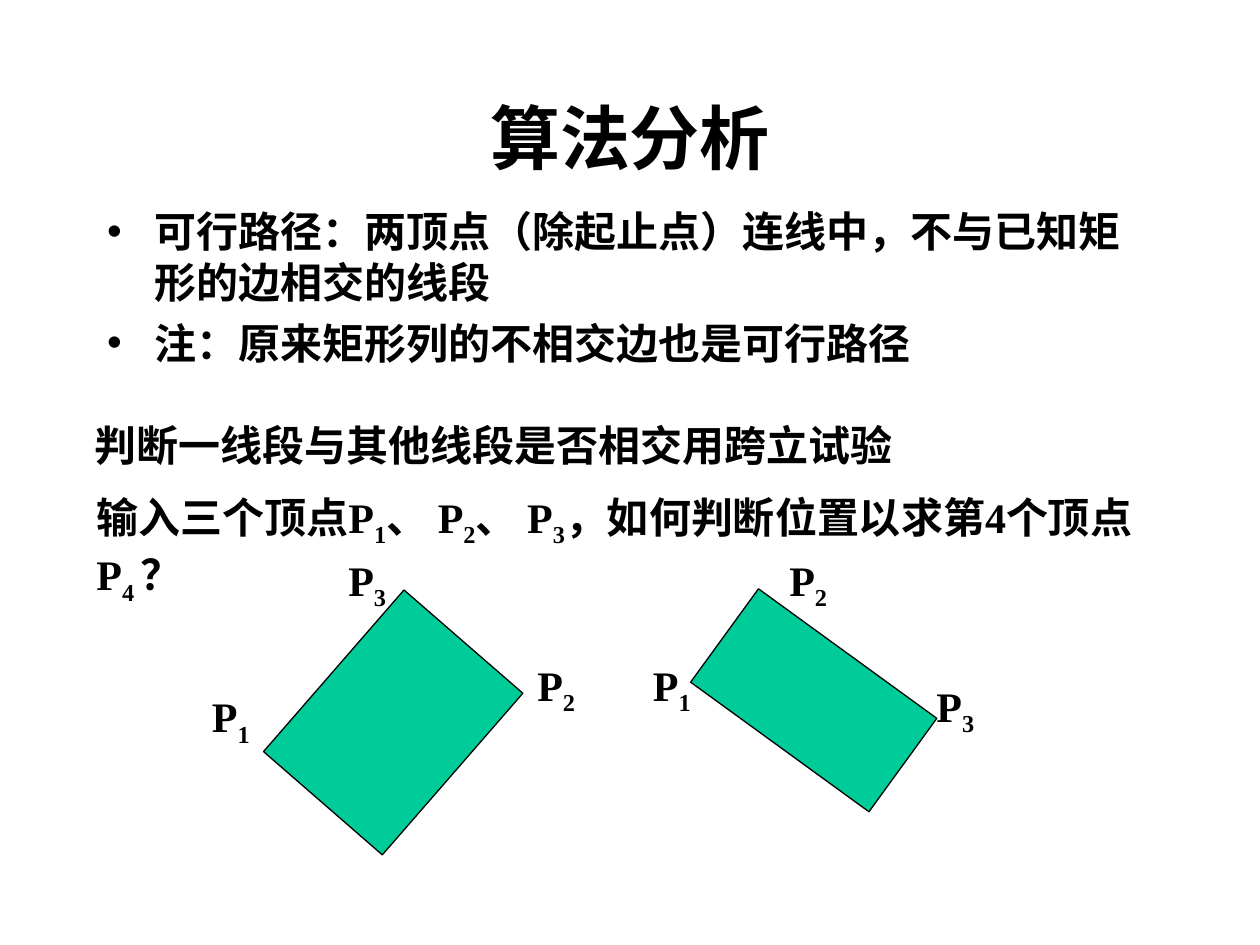
from dataclasses import dataclass

from pptx import Presentation
from pptx.dml.color import RGBColor
from pptx.enum.lang import MSO_LANGUAGE_ID as Language
from pptx.enum.shapes import MSO_SHAPE as Shape
from pptx.enum.text import MSO_AUTO_SIZE as AutoSize, MSO_ANCHOR as Anchor, PP_ALIGN as Align
from pptx.util import Inches, Pt


@dataclass(frozen=True)
class Theme:
    font: str = "Times New Roman"
    ink: RGBColor = RGBColor(0, 0, 0)
    fill: RGBColor = RGBColor(0x00, 0xCC, 0x99)
    title_size: int = 40
    text_size: int = 24
    outline: float = 0.75
    bullet_gap: int = 6
    text_gap: int = 15


THEME = Theme()
COLUMNS, ROWS = 120, 90
WIDTH, HEIGHT = Inches(10), Inches(7.5)
LABEL_SIZE = (6, 6.7)


def grid(box):
    """Turn left, top, width, height in grid cells into slide lengths."""
    left, top, width, height = box
    return (round(left * WIDTH / COLUMNS), round(top * HEIGHT / ROWS),
            round(width * WIDTH / COLUMNS), round(height * HEIGHT / ROWS))


def format_run(run, size):
    font = run.font
    font.name, font.size, font.bold = THEME.font, Pt(size), True
    font.color.rgb = THEME.ink
    font.language_id = Language.SIMPLIFIED_CHINESE


def fill_placeholder(placeholder, box, lines, size):
    placeholder.left, placeholder.top, placeholder.width, placeholder.height = grid(box)
    frame = placeholder.text_frame
    frame.text = "\n".join(lines)
    frame.auto_size = AutoSize.NONE
    for paragraph in frame.paragraphs:
        for run in paragraph.runs:
            format_run(run, size)
    return frame


def add_title(slide, box, text):
    frame = fill_placeholder(slide.shapes.title, box, [text], THEME.title_size)
    frame.vertical_anchor = Anchor.MIDDLE
    frame.paragraphs[0].alignment = Align.CENTER


def add_bullets(slide, box, lines):
    frame = fill_placeholder(slide.placeholders[1], box, lines, THEME.text_size)
    frame.vertical_anchor = Anchor.TOP
    for paragraph in frame.paragraphs:
        paragraph.space_before = Pt(THEME.bullet_gap)


def add_text(shapes, box, parts):
    """Place a text box in which every second part is a subscript."""
    frame = shapes.add_textbox(*grid(box)).text_frame
    frame.word_wrap = True
    frame.auto_size = AutoSize.SHAPE_TO_FIT_TEXT
    paragraph = frame.paragraphs[0]
    paragraph.space_before = Pt(THEME.text_gap)
    for index, part in enumerate(parts):
        run = paragraph.add_run()
        run.text = part
        format_run(run, THEME.text_size)
        if index % 2:
            run.font._element.set("baseline", "-25000")


def add_rectangle_figure(slide, box, rectangle, rotation, labels):
    """Group a turned rectangle with its vertex labels, offset from the box corner."""
    left, top = box[:2]
    shapes = slide.shapes.add_group_shape().shapes

    # Turned rectangle
    x, y, width, height = rectangle
    shape = shapes.add_shape(Shape.RECTANGLE, *grid((left + x, top + y, width, height)))
    shape.rotation = rotation
    shape.shadow.inherit = False
    shape.fill.solid()
    shape.fill.fore_color.rgb = THEME.fill
    shape.line.color.rgb = THEME.ink
    shape.line.width = Pt(THEME.outline)

    # Vertex labels P1, P2, P3
    for number, (x, y) in enumerate(labels, start=1):
        add_text(shapes, (left + x, top + y, *LABEL_SIZE), ["P", str(number)])


def main():
    presentation = Presentation()
    presentation.slide_width, presentation.slide_height = WIDTH, HEIGHT
    slide = presentation.slides.add_slide(presentation.slide_layouts[1])

    # Title and definitions
    add_title(slide, (9, 8, 102, 10), "算法分析")
    add_bullets(slide, (9, 19, 102, 21), [
        "可行路径：两顶点（除起止点）连线中，不与已知矩形的边相交的线段",
        "注：原来矩形列的不相交边也是可行路径",
    ])

    # Intersection test and the vertex question
    add_text(slide.shapes, (7.8, 39.4, 104, 6), ["判断一线段与其他线段是否相交用跨立试验"])
    add_text(slide.shapes, (8, 46.2, 104, 12.1), [
        "输入三个顶点P", "1", "、 P", "2", "、 P", "3",
        "，如何判断位置以求第4个顶点 P", "4 ", "？",
    ])

    # Two possible vertex orders
    add_rectangle_figure(slide, (19, 52.2, 37, 30), (8.25, 9.1, 20.4, 15), 311,
                         [(0, 13), (31, 10), (13, 0)])
    add_rectangle_figure(slide, (61, 52.2, 33, 25), (6, 9, 21, 11), 36,
                         [(0, 10), (13, 0), (27, 12)])

    presentation.save("out.pptx")


if __name__ == "__main__":
    main()
